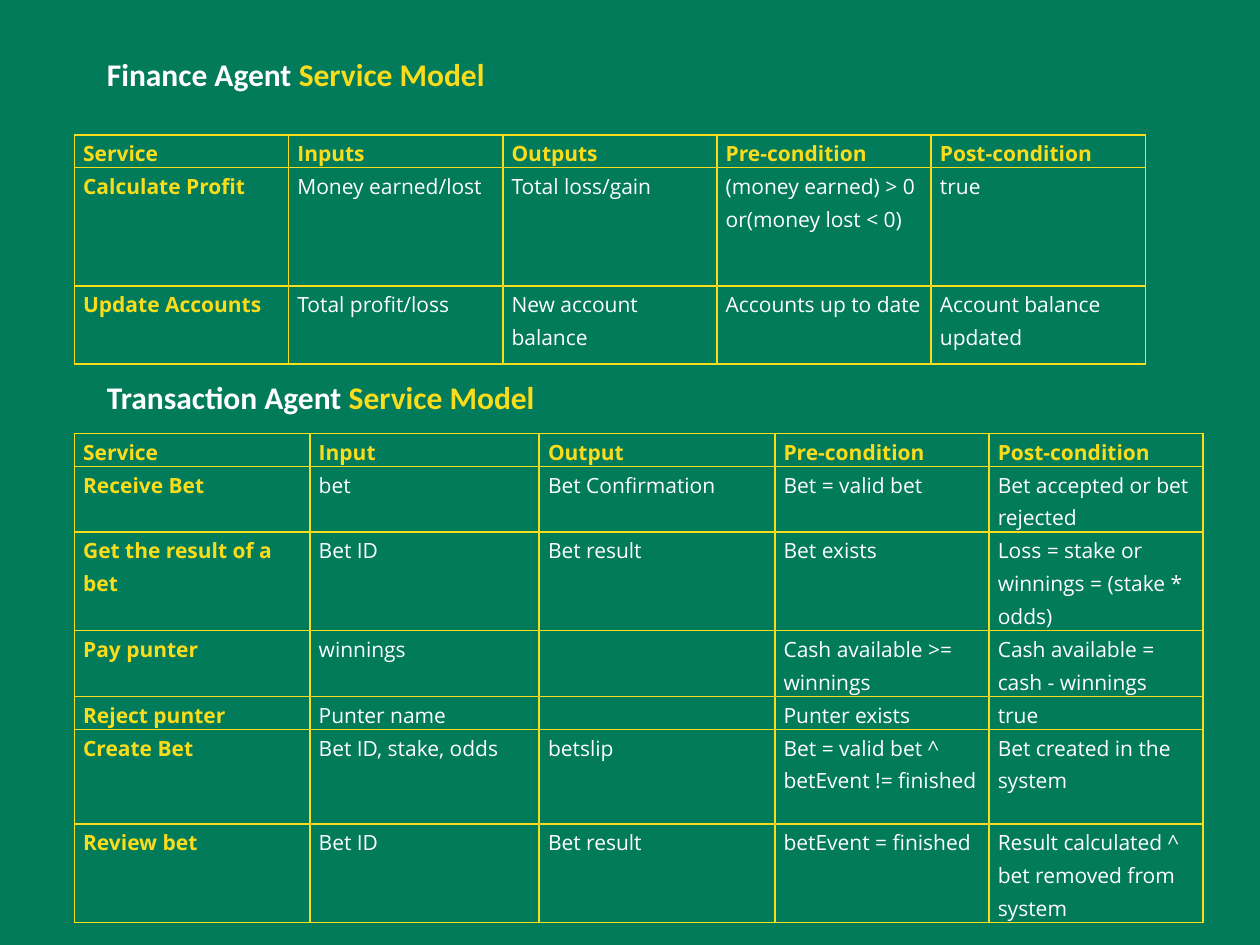
from dataclasses import dataclass

from lxml.etree import SubElement
from pptx import Presentation
from pptx.dml.color import RGBColor
from pptx.enum.text import MSO_ANCHOR as Anchor, MSO_AUTO_SIZE as AutoSize
from pptx.oxml.ns import qn
from pptx.util import Inches, Pt

GREEN, YELLOW, WHITE = "027B5B", "F9DC1C", "FFFFFF"
TABLE_LEFT, HEADING_LEFT = 0.59, 0.75


@dataclass
class Heading:
    agent: str
    label: str
    top: float
    width: float
    anchor: Anchor
    wrap: bool


@dataclass
class ServiceTable:
    top: float
    widths: list[float]
    heights: list[float]
    rows: list[list[str]]


def color(value: str) -> RGBColor:
    return RGBColor.from_string(value)


def add_run(paragraph, text: str, font: str, size: int, fill: str, bold: bool) -> None:
    run = paragraph.add_run()
    run.text = text
    run.font.name = font
    run.font.size = Pt(size)
    run.font.bold = bold
    run.font.color.rgb = color(fill)


def add_heading(slide, heading: Heading) -> None:
    box = slide.shapes.add_textbox(Inches(HEADING_LEFT), Inches(heading.top),
                                   Inches(heading.width), Inches(0.4))
    frame = box.text_frame
    frame.word_wrap = heading.wrap
    frame.auto_size = AutoSize.SHAPE_TO_FIT_TEXT
    frame.vertical_anchor = heading.anchor
    paragraph = frame.paragraphs[0]
    add_run(paragraph, heading.agent, "Calibri", 18, WHITE, True)
    add_run(paragraph, heading.label, "Calibri", 18, YELLOW, True)


def add_borders(cell) -> None:
    properties = cell._tc.get_or_add_tcPr()
    for index, side in enumerate(("a:lnL", "a:lnR", "a:lnT", "a:lnB")):
        line = SubElement(properties, qn(side), w=str(Pt(1)))
        fill = SubElement(line, qn("a:solidFill"))
        SubElement(fill, qn("a:srgbClr"), val=YELLOW)
        properties.insert(index, line)


def fill_cell(cell, text: str, emphasized: bool) -> None:
    cell.margin_left = cell.margin_right = Inches(0.07)
    cell.margin_top = cell.margin_bottom = 0
    cell.fill.solid()
    cell.fill.fore_color.rgb = color(GREEN)
    add_borders(cell)
    paragraph = cell.text_frame.paragraphs[0]
    paragraph.line_spacing = 1.15
    if text:
        add_run(paragraph, text, "Open Sans", 12,
                YELLOW if emphasized else WHITE, emphasized)
    else:
        # Keep an empty cell from stretching its row
        SubElement(paragraph._p, qn("a:endParaRPr"), sz="1200")


def add_service_table(slide, service_table: ServiceTable) -> None:
    widths, heights = service_table.widths, service_table.heights
    table = slide.shapes.add_table(
        len(heights), len(widths), Inches(TABLE_LEFT), Inches(service_table.top),
        Inches(sum(widths)), Inches(sum(heights))).table
    for column, width in zip(table.columns, widths):
        column.width = Inches(width)
    for row, height in zip(table.rows, heights):
        row.height = Inches(height)
    for row_index, texts in enumerate(service_table.rows):
        for column_index, text in enumerate(texts):
            fill_cell(table.cell(row_index, column_index), text,
                      row_index == 0 or column_index == 0)


FINANCE = ServiceTable(1.07, [1.7] * 5, [0.25, 0.94, 0.62], [
    ["Service", "Inputs", "Outputs", "Pre-condition", "Post-condition"],
    ["Calculate Profit", "Money earned/lost", "Total loss/gain",
     "(money earned) > 0 or(money lost < 0)", "true"],
    ["Update Accounts", "Total profit/loss", "New account balance",
     "Accounts up to date", "Account balance updated"],
])
TRANSACTION = ServiceTable(
    3.44, [1.87, 1.82, 1.87, 1.7, 1.7], [0.24, 0.49, 0.75, 0.49, 0.24, 0.75, 0.75], [
        ["Service", "Input", "Output", "Pre-condition", "Post-condition"],
        ["Receive Bet", "bet", "Bet Confirmation", "Bet = valid bet",
         "Bet accepted or bet rejected"],
        ["Get the result of a bet", "Bet ID", "Bet result", "Bet exists",
         "Loss = stake or winnings = (stake * odds)"],
        ["Pay punter", "winnings", "", "Cash available >= winnings",
         "Cash available = cash - winnings"],
        ["Reject punter", "Punter name", "", "Punter exists", "true"],
        ["Create Bet", "Bet ID, stake, odds", "betslip",
         "Bet = valid bet ^ betEvent != finished", "Bet created in the system"],
        ["Review bet", "Bet ID", "Bet result", "betEvent = finished",
         "Result calculated ^ bet removed from system"],
    ])
HEADINGS = [
    Heading("Transaction Agent ", "Service Model", 2.95, 4.88, Anchor.MIDDLE, True),
    Heading("Finance Agent", " Service Model", 0.39, 3.22, Anchor.TOP, False),
]


def main() -> None:
    presentation = Presentation()
    presentation.slide_width, presentation.slide_height = Inches(10), Inches(7.5)
    slide = presentation.slides.add_slide(presentation.slide_layouts[6])
    slide.background.fill.solid()
    slide.background.fill.fore_color.rgb = color(GREEN)

    # Service tables
    for service_table in (FINANCE, TRANSACTION):
        add_service_table(slide, service_table)

    # Headings above the tables
    for heading in HEADINGS:
        add_heading(slide, heading)

    presentation.save("out.pptx")


if __name__ == "__main__":
    main()
